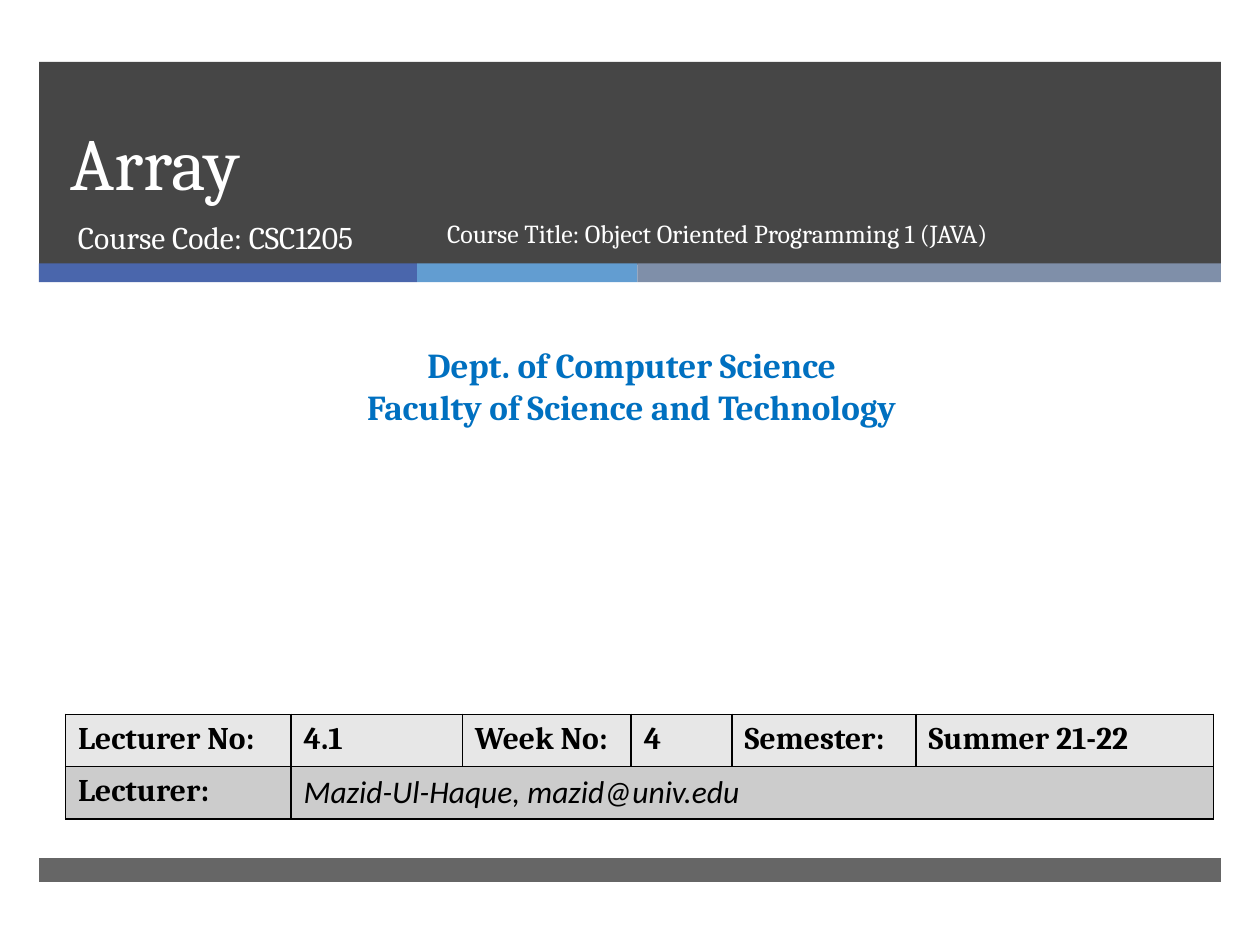
"""Build the title slide of a lecture on arrays."""
import pptx
import pptx.util
import pptx.dml.color
import pptx.enum.shapes
import pptx.enum.text
import pptx.oxml
import pptx.oxml.ns
import lxml.etree

Inches = pptx.util.Inches
Pt = pptx.util.Pt
align = pptx.enum.text.PP_ALIGN
anchor = pptx.enum.text.MSO_ANCHOR
qn = pptx.oxml.ns.qn

theme = {
    "dark": "262626", "blue": "4A66AC", "sky": "629DD1", "slate": "7F8FA9",
    "white": "FFFFFF", "black": "000000", "dept": "0070C0",
    "light": "E7E7E7", "grey": "CCCCCC",
    "title": 42, "lead": 46, "head": 20, "body": 18, "course": 14.8,
    "serif": "Cambria", "sans": "Calibri",
}


def color(name):
    return pptx.dml.color.RGBColor.from_string(theme[name])


def style(frame, size, tint, bold=False, face="serif", slant=False):
    for para in frame.paragraphs:
        for run in para.runs:
            font = run.font
            font.name, font.size = theme[face], Pt(theme[size])
            font.bold, font.italic = bold, slant
            font.color.rgb = color(tint)


deck = pptx.Presentation()
deck.slide_width, deck.slide_height = Inches(10), Inches(7.5)
slide = deck.slides.add_slide(deck.slide_layouts[6])

bars = [
    (0.31, 0.49, 9.38, 1.61, "dark", 85),
    (0.31, 2.09, 3, 0.15, "blue", 100),
    (3.31, 2.09, 1.75, 0.15, "sky", 100),
    (5.06, 2.09, 4.63, 0.15, "slate", 100),
    (0.31, 6.81, 9.38, 0.19, "dark", 70),
]
for left, top, width, height, tint, alpha in bars:
    bar = slide.shapes.add_shape(
        pptx.enum.shapes.MSO_SHAPE.RECTANGLE,
        Inches(left), Inches(top), Inches(width), Inches(height))
    bar.shadow.inherit = False
    bar.line.fill.background()
    bar.fill.solid()
    bar.fill.fore_color.rgb = color(tint)
    if alpha < 100:
        tone = bar.fill._xPr.find(".//" + qn("a:srgbClr"))
        lxml.etree.SubElement(tone, qn("a:alpha"), val=str(alpha * 1000))

texts = [
    (0.46, 0.49, 8.54, 1.19, "Array", "title", "white", False),
    (0.52, 1.68, 3.05, 0.53, "Course Code: CSC1205", "body", "white", False),
    (0.08, 2.68, 9.87, 0.77,
     "Dept. of Computer Science\nFaculty of Science and Technology",
     "head", "dept", True),
    (3.45, 1.68, 4.97, 0.53,
     "Course Title: Object Oriented Programming 1 (JAVA)",
     "course", "white", False),
]
for left, top, width, height, words, size, tint, bold in texts:
    box = slide.shapes.add_textbox(
        Inches(left), Inches(top), Inches(width), Inches(height))
    frame = box.text_frame
    frame.word_wrap = True
    frame.text = words
    style(frame, size, tint, bold)
    if size == "title":
        frame.vertical_anchor = anchor.BOTTOM
        frame.paragraphs[0].line_spacing = Pt(theme["lead"])
    for para in frame.paragraphs:
        para.alignment = align.CENTER if size == "head" else align.LEFT

rows = [
    ["Lecturer No:", "4.1", "Week No:", "4", "Semester:", "Summer 21-22"],
    ["Lecturer:", "Mazid-Ul-Haque, mazid@univ.edu"],
]
widths = [1.79, 1.36, 1.34, 0.8, 1.46, 2.36]
grid = slide.shapes.add_table(
    len(rows), len(widths), Inches(0.52), Inches(5.67),
    Inches(sum(widths)), Inches(0.83)).table
for col, width in zip(grid.columns, widths):
    col.width = Inches(width)
for row, words in enumerate(rows):
    for col, word in enumerate(words):
        grid.cell(row, col).text_frame.text = word
        style(grid.cell(row, col).text_frame, "body", "black", True)
style(grid.cell(1, 1).text_frame, "body", "black", face="sans", slant=True)
grid.cell(1, 1).merge(grid.cell(1, 5))

for row, tint in enumerate(["light", "grey"]):
    for col in range(len(widths)):
        cell = grid.cell(row, col)
        props = cell._tc.get_or_add_tcPr()
        for side in ["a:lnL", "a:lnR", "a:lnT", "a:lnB"]:
            edge = lxml.etree.SubElement(props, qn(side), w=str(Pt(1)))
            paint = lxml.etree.SubElement(edge, qn("a:solidFill"))
            lxml.etree.SubElement(paint, qn("a:srgbClr"), val=theme["black"])
        cell.fill.solid()
        cell.fill.fore_color.rgb = color(tint)

deck.save("out.pptx")
